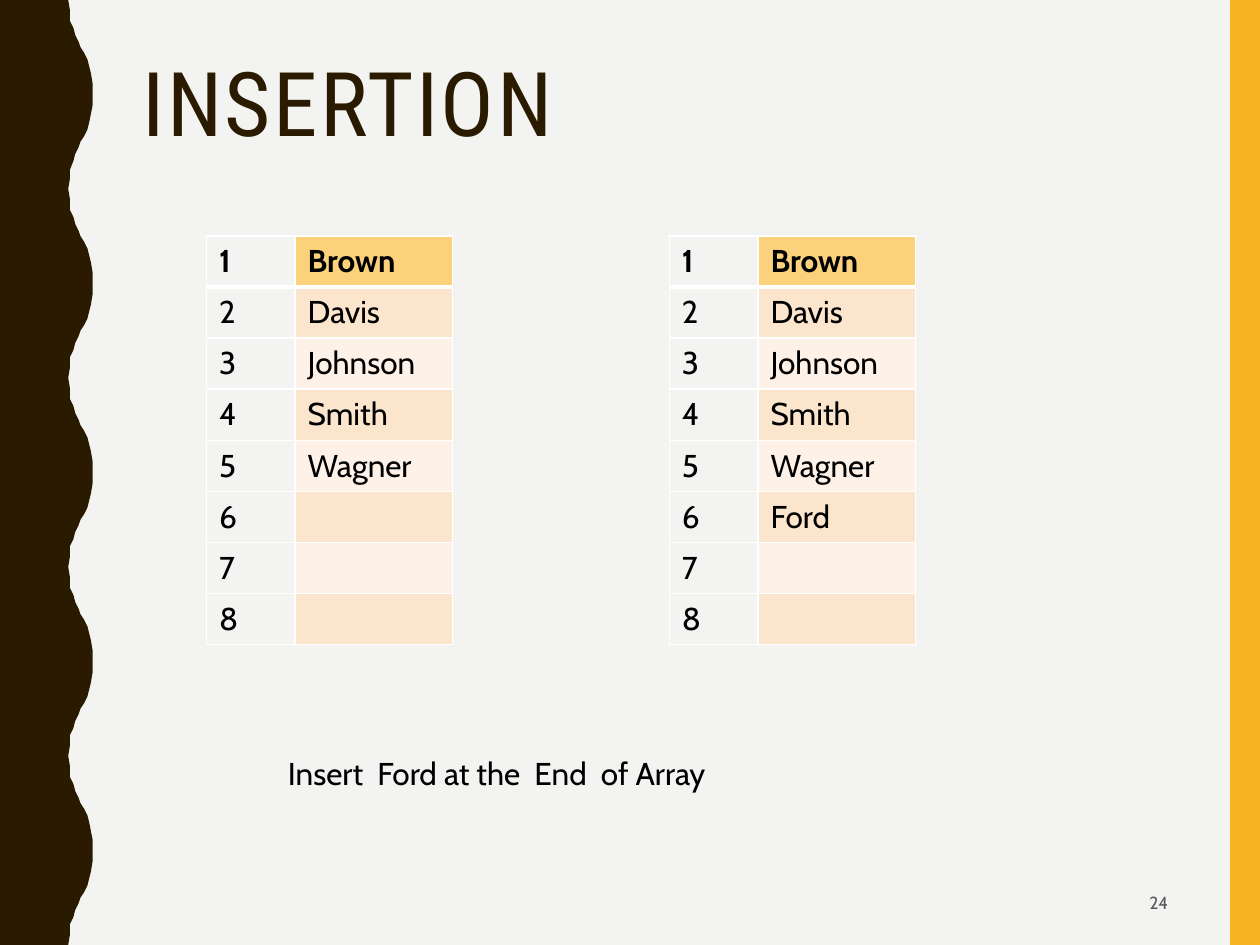
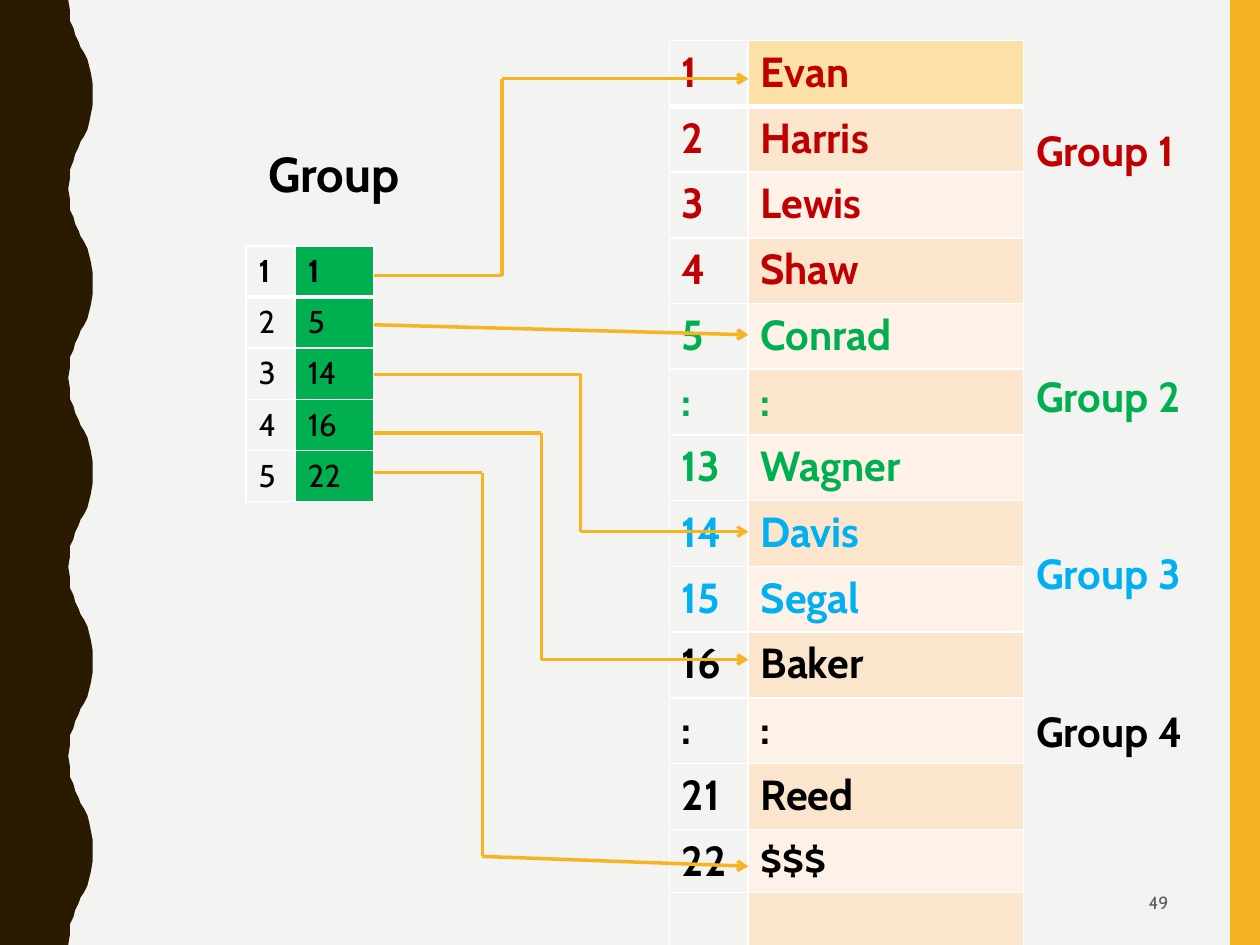
from pptx import Presentation
from pptx import util as u
from pptx.dml import color
from pptx.enum import shapes, text
from pptx.oxml import ns, xmlchemy

Pt = u.Pt
hue = color.RGBColor.from_string
GOLD, DARK, PALE = "F8B323", "2A1A00", "F3F3F2"
RED, GREEN, BLUE, BLACK = "C00000", "00B050", "00B0F0", "000000"
PEACH, CREAM = "FCE5CD", "FEF2E8"


def write(frame, words, size, tint=BLACK, bold=False, face="Cabin"):
    frame.word_wrap = True
    run = frame.paragraphs[0].add_run()
    run.text = words
    run.font.name, run.font.size, run.font.bold = face, Pt(size), bold
    run.font.color.rgb = hue(tint)
    return run


def grid(page, left, top, wide, high, rows, size, tints, bolds, fills):
    frame = page.shapes.add_table(len(rows), 2, Pt(left), Pt(top), Pt(sum(wide)), Pt(sum(high)))
    table = frame.table
    table.first_row = table.horz_banding = False
    for col, width in zip(table.columns, wide):
        col.width = Pt(width)
    for i, row in enumerate(rows):
        table.rows[i].height = Pt(high[i])
        for j, words in enumerate(row):
            cell = table.cell(i, j)
            props = cell._tc.get_or_add_tcPr()
            for side in "LRTB":
                thick = 3 if (i, side) in ((0, "B"), (1, "T")) else 1
                edge = xmlchemy.OxmlElement("a:ln" + side)
                edge.set("w", str(Pt(thick)))
                paint = xmlchemy.OxmlElement("a:solidFill")
                white = xmlchemy.OxmlElement("a:srgbClr")
                white.set("val", "FFFFFF")
                paint.append(white)
                edge.append(paint)
                props.append(edge)
            if j:
                cell.fill.solid()
                cell.fill.fore_color.rgb = hue(fills[i])
            else:
                cell.fill.background()
            if words:
                write(cell.text_frame, words, size, tints[i], i < bolds)


deck = Presentation()
deck.slide_width, deck.slide_height = Pt(720), Pt(540)
back = deck.slide_master.background.fill
back.solid()
back.fore_color.rgb = hue(PALE)

wave = [(0, 0)]
for half in range(10):
    for step in range(13):
        t = step / 12
        ease = 3 * t * t - 2 * t ** 3
        if half % 2:
            ease = 1 - ease
        wave.append((39.4 + 14 * ease, 54 * (half + 1.5 * t * (1 - t) + t ** 3)))
wave.append((0, 540))

pages = []
for number in ("24", "49"):
    page = deck.slides.add_slide(deck.slide_layouts[6])
    bar = page.shapes.add_shape(shapes.MSO_SHAPE.RECTANGLE, Pt(703), 0, Pt(17), Pt(540))
    pen = page.shapes.build_freeform(0, 0, scale=Pt(1))
    pen.add_line_segments(wave[1:], close=True)
    for shape, tint in ((bar, GOLD), (pen.convert_to_shape(), DARK)):
        shape.shadow.inherit = False
        shape.fill.solid()
        shape.fill.fore_color.rgb = hue(tint)
        shape.line.fill.background()
    foot = page.shapes.add_textbox(Pt(508.3), Pt(502), Pt(166.3), Pt(27.4)).text_frame
    foot.vertical_anchor = text.MSO_ANCHOR.MIDDLE
    write(foot, number, 10, "595959")
    foot.paragraphs[0].alignment = text.PP_ALIGN.RIGHT
    pages.append(page)
first, second = pages

box = first.shapes.add_textbox(Pt(74.2), Pt(30.2), Pt(601), Pt(117.4))
title = write(box.text_frame, "INSERTION", 51, DARK, face="Roboto Condensed")
title._r.get_or_add_rPr().set("spc", "150")
box.text_frame.paragraphs[0].line_spacing = 0.9

names = ["Brown", "Davis", "Johnson", "Smith", "Wagner"]
for left, more in ((118, ["", "", ""]), (382.5, ["Ford", "", ""])):
    rows = [(str(i), name) for i, name in enumerate(names + more, 1)]
    grid(first, left, 134.8, (50.6, 90), [29.2] * 8, rows, 18, [BLACK] * 8, 1,
         ["FBD17B"] + [PEACH, CREAM] * 3 + [PEACH])

box = first.shapes.add_textbox(Pt(157.5), Pt(427.5), Pt(405), Pt(29))
write(box.text_frame, "Insert  Ford at the  End  of Array", 18)

rows = [("1", "Evan"), ("2", "Harris"), ("3", "Lewis"), ("4", "Shaw"), ("5", "Conrad"),
        (":", ":"), ("13", "Wagner"), ("14", "Davis"), ("15", "Segal"), ("16", "Baker"),
        (":", ":"), ("21", "Reed"), ("22", "$$$"), ("", "")]
tints = [RED] * 4 + [GREEN] * 3 + [BLUE] * 2 + [BLACK] * 5
grid(second, 382.5, 23.2, (45, 157.5), [37.56] * 12 + [33.3] * 2, rows, 24, tints, 14,
     ["FCE1A7"] + [PEACH, CREAM] * 6 + [PEACH])

for i, (top, tint) in enumerate(((67.5, RED), (208.1, GREEN), (309.4, BLUE), (399.4, BLACK)), 1):
    box = second.shapes.add_textbox(Pt(585), Pt(top), Pt(135), Pt(36))
    write(box.text_frame, f"Group {i}", 24, tint, True)

rows = [(str(i), start) for i, start in enumerate(("1", "5", "14", "16", "22"), 1)]
grid(second, 140.6, 140.6, (28.1, 45), [29.2] * 5, rows, 18, [BLACK] * 5, 1, [GREEN] * 5)
box = second.shapes.add_textbox(Pt(146.2), Pt(78.7), Pt(106.9), Pt(41))
write(box.text_frame, "Group", 28, BLACK, True)

near, far = 213.8, 427.6
routes = [
    (2, [(near, 157.5), (286.9, 157.5), (286.9, 45), (far, 45)]),
    (2, [(near, 185.6), (far, 191.3)]),
    (1.75, [(near, 213.8), (331.9, 213.8), (331.9, 303.8), (far, 303.8)]),
    (2, [(near, 247.5), (309.4, 247.5), (309.4, 376.9), (far, 376.9)]),
    (2, [(near, 270), (275.6, 270), (275.6, 489.4), (far, 495)]),
]
for thick, route in routes:
    for start, end in zip(route, route[1:]):
        ends = [Pt(n) for n in start + end]
        line = second.shapes.add_connector(shapes.MSO_CONNECTOR.STRAIGHT, *ends)
        line.line.width = Pt(thick)
        line.line.color.rgb = hue(GOLD)
        line._element.spPr.append(xmlchemy.OxmlElement("a:effectLst"))
    tip = xmlchemy.OxmlElement("a:tailEnd")
    tip.set("type", "arrow")
    line._element.spPr.find(ns.qn("a:ln")).append(tip)

deck.save("out.pptx")
